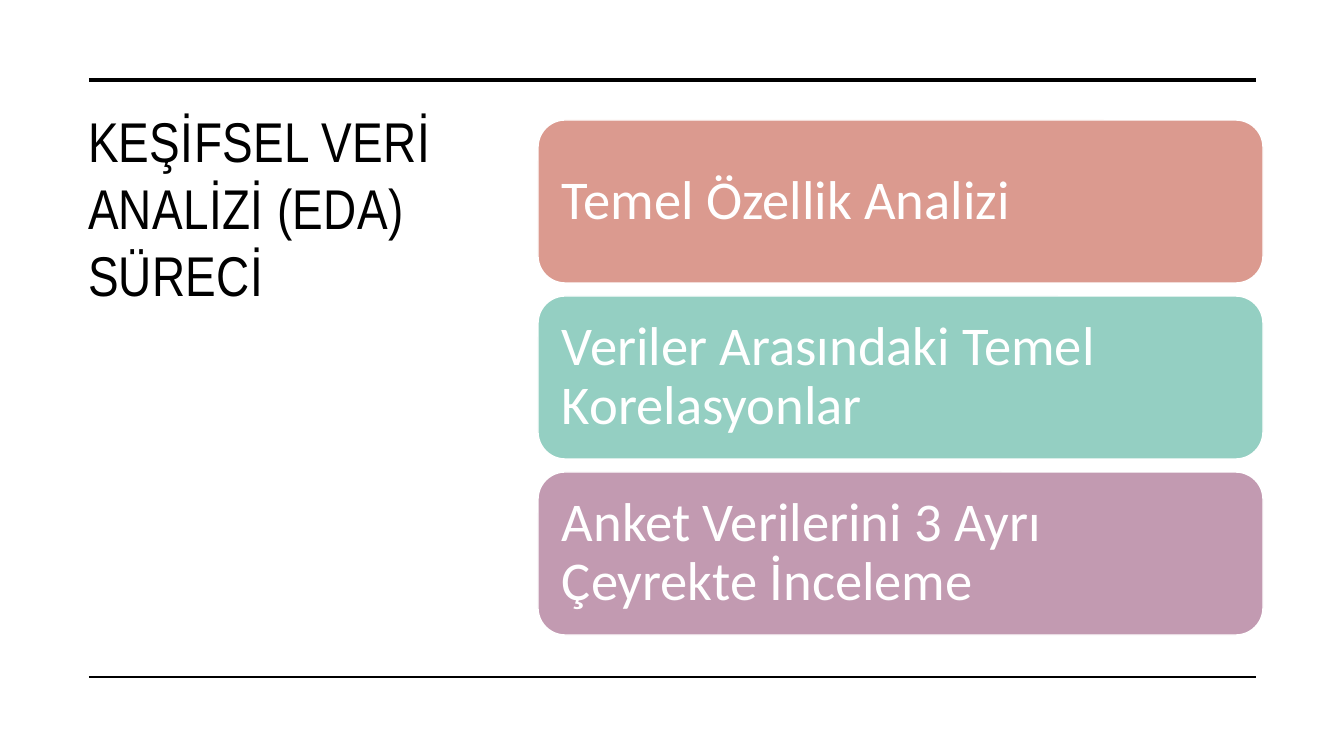
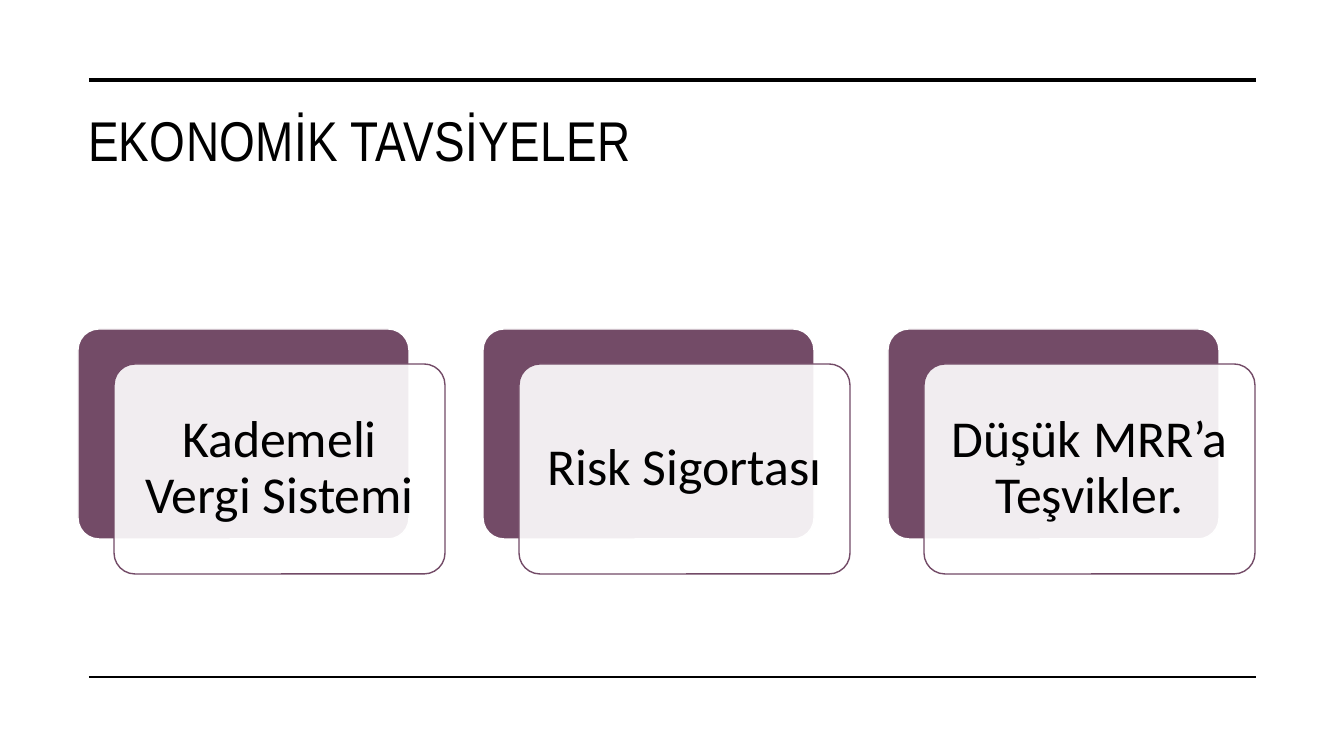
from lxml import etree
from pptx import Presentation, util as u
from pptx.dml.color import RGBColor
from pptx.enum import shapes, text
from pptx.oxml.ns import qn

COLORS = {
    "black": "000000",
    "white": "FFFFFF",
    "coral": "DB9A8F",
    "mint": "94CFC2",
    "mauve": "C29AB1",
    "plum": "734B67",
}
RULES = [(80, 3.5), (677, 1)]  # y in px, width in pt


def px(*lengths):
    return [u.Emu(round(length * 914400 / 100.8)) for length in lengths]


def add_box(slide, box, fill, line):
    shape = slide.shapes.add_shape(shapes.MSO_SHAPE.ROUNDED_RECTANGLE, *px(*box))
    shape.shadow.inherit = False
    shape.fill.solid()
    shape.fill.fore_color.rgb = RGBColor.from_string(COLORS[fill])
    shape.line.color.rgb = RGBColor.from_string(COLORS[line])
    shape.line.width = u.Pt(1)
    return shape


presentation = Presentation()
presentation.slide_width, presentation.slide_height = px(1344, 756)

# Titles and rules shared by both slides
titles = [
    ("KEŞİFSEL VERİ ANALİZİ (EDA) SÜRECİ", (78, 101, 403, 486)),
    ("EKONOMİK TAVSİYELER", (78, 100, 1178, 127)),
]
for title_text, box in titles:
    slide = presentation.slides.add_slide(presentation.slide_layouts[5])
    for y, width in RULES:
        rule = slide.shapes.add_connector(
            shapes.MSO_CONNECTOR.STRAIGHT, *px(89, y, 1256, y))
        rule.line.color.rgb = RGBColor.from_string(COLORS["black"])
        rule.line.width = u.Pt(width)
        etree.SubElement(rule._element.spPr, qn("a:effectLst"))

    title = slide.shapes.title
    title.left, title.top, title.width, title.height = px(*box)
    frame = title.text_frame
    frame.text = title_text
    frame.word_wrap = True
    frame.auto_size = text.MSO_AUTO_SIZE.NONE
    frame.vertical_anchor = text.MSO_ANCHOR.TOP
    paragraph = frame.paragraphs[0]
    paragraph.alignment = text.PP_ALIGN.LEFT
    paragraph.font.name = "Arial Narrow"
    paragraph.font.size = u.Pt(40)
    paragraph.font.color.rgb = RGBColor.from_string(COLORS["black"])
    paragraph.runs[0]._r.get_or_add_rPr().set("spc", "30")

process_slide, advice_slide = presentation.slides
labels = []  # shape, wording, size, colour, alignment, inset

# Analysis steps, stacked
steps = [
    ("Temel Özellik Analizi", "coral"),
    ("Veriler Arasındaki Temel Korelasyonlar", "mint"),
    ("Anket Verilerini 3 Ayrı Çeyrekte İnceleme", "mauve"),
]
for index, (wording, color) in enumerate(steps):
    step = add_box(process_slide, (538, 120 + index * 176, 725, 163), color, "white")
    labels.append((step, wording, 39, "white", text.PP_ALIGN.LEFT, 16))

# Advice cards, each a translucent card over a plum backing
advice = ["Kademeli Vergi Sistemi", "Risk Sigortası", "Düşük MRR’a Teşvikler."]
for index, wording in enumerate(advice):
    left = 78 + index * 405
    backing = add_box(advice_slide, (left, 329, 331, 210), "plum", "white")
    card = add_box(advice_slide, (left + 36, 364, 331, 210), "white", "plum")
    for shape in (backing, card):
        shape.adjustments[0] = 0.1
    card_color = card._element.spPr.find(qn("a:solidFill"))[0]
    etree.SubElement(card_color, qn("a:alpha"), val="90000")
    labels.append((card, wording, 37, "black", text.PP_ALIGN.CENTER, 15))

# Text of steps and cards
for shape, wording, size, color, alignment, inset in labels:
    frame = shape.text_frame
    frame.text = wording
    frame.word_wrap = True
    frame.vertical_anchor = text.MSO_ANCHOR.MIDDLE
    (frame.margin_left, frame.margin_top,
     frame.margin_right, frame.margin_bottom) = px(*[inset] * 4)
    paragraph = frame.paragraphs[0]
    paragraph.alignment = alignment
    paragraph.line_spacing = 0.9
    paragraph.font.name = "Calibri"
    paragraph.font.size = u.Pt(size)
    paragraph.font.color.rgb = RGBColor.from_string(COLORS[color])

presentation.save("out.pptx")
